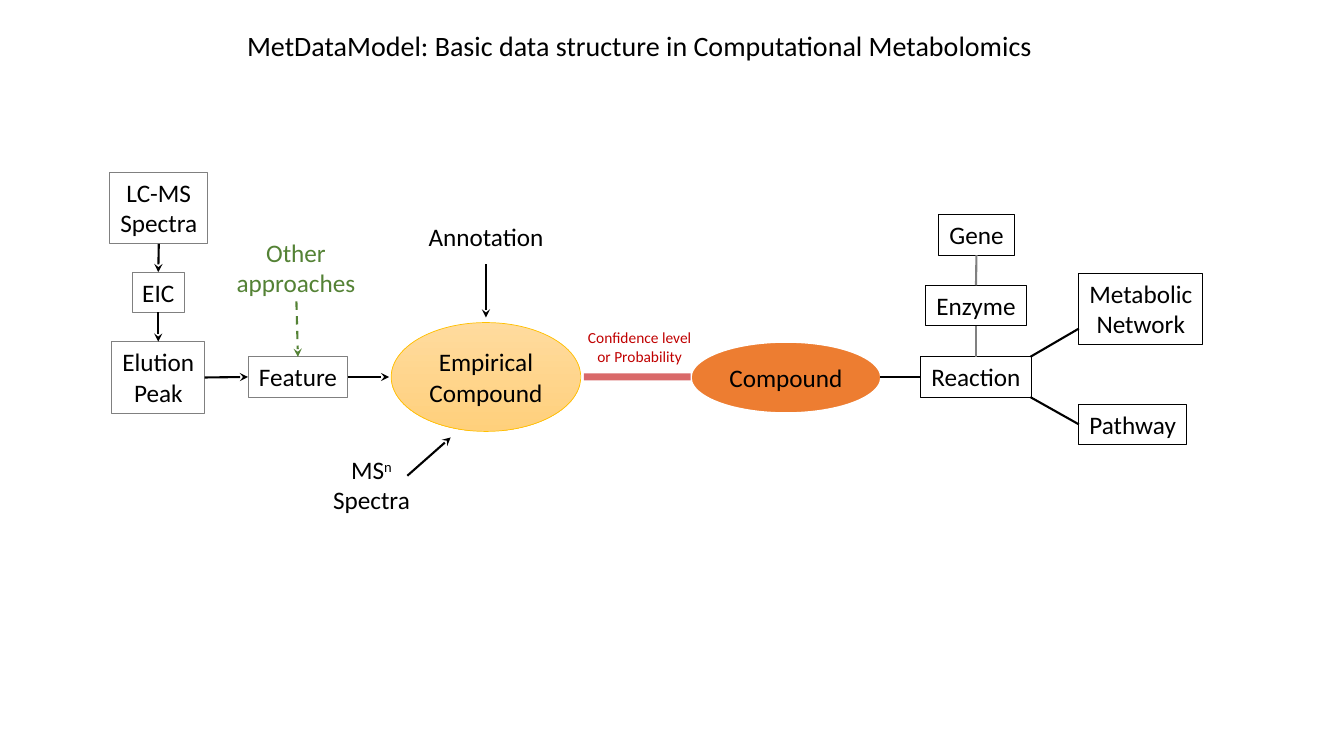
import pptx
import pptx.util
import pptx.dml.color
import pptx.enum.dml
import pptx.enum.shapes
import pptx.enum.text
import pptx.oxml.ns
from lxml import etree
from pptx.util import Inches, Pt

COLORS = {
    "black": "000000",
    "white": "FFFFFF",
    "grey": "808080",
    "green": "548235",
    "red": "C00000",
    "orange": "ED7D31",
    "gold": "FFC000",
    "gold_top": "FFDB9E",
    "gold_bottom": "FFD07C",
}
ALIGN = pptx.enum.text.PP_ALIGN
ANCHOR = pptx.enum.text.MSO_ANCHOR
SHAPE = pptx.enum.shapes.MSO_SHAPE
TOP, LEFT, BOTTOM, RIGHT = range(4)


def rgb(name):
    return pptx.dml.color.RGBColor.from_string(COLORS[name])


def add_run(p, text, size=18, color="black"):
    r = p.add_run()
    r.text = text
    r.font.size = Pt(size)
    r.font.name = "Calibri"
    r.font.color.rgb = rgb(color)
    return r


def fill_text(tf, text, size=18, color="black", align=ALIGN.CENTER):
    """Write text: a newline starts a paragraph, a vertical tab breaks a line."""
    for i, paragraph in enumerate(text.split("\n")):
        p = tf.add_paragraph() if i else tf.paragraphs[0]
        p.alignment = align
        for j, line in enumerate(paragraph.split("\v")):
            if j:
                p.add_line_break()
            add_run(p, line, size, color)


def fit_to_text(tf):
    tf.word_wrap = False
    tf.auto_size = pptx.enum.text.MSO_AUTO_SIZE.SHAPE_TO_FIT_TEXT
    tf.vertical_anchor = ANCHOR.TOP


def add_outlined(s, kind, text, at, line, width):
    sp = s.shapes.add_shape(kind, *map(Inches, at))
    sp.shadow.inherit = False
    sp.fill.background()
    sp.line.color.rgb = rgb(line)
    sp.line.width = Pt(width)
    fill_text(sp.text_frame, text)
    return sp


def add_box(s, text, at, line="black", width=0.5):
    sp = add_outlined(s, SHAPE.RECTANGLE, text, at, line, width)
    fit_to_text(sp.text_frame)
    return sp


def add_label(s, text, at, size=18, color="black"):
    tb = s.shapes.add_textbox(*map(Inches, at))
    fit_to_text(tb.text_frame)
    fill_text(tb.text_frame, text, size, color)
    return tb


def add_link(s, start, end, color="black", width=1.5, arrow=False):
    """Join two ends, each an (x, y) point or a (shape, side) pair."""
    points = [(0, 0) if hasattr(e[0], "shape_id") else e for e in (start, end)]
    c = s.shapes.add_connector(
        pptx.enum.shapes.MSO_CONNECTOR.STRAIGHT,
        *(Inches(v) for point in points for v in point))
    for e, connect in ((start, c.begin_connect), (end, c.end_connect)):
        if hasattr(e[0], "shape_id"):
            connect(*e)
    c.line.color.rgb = rgb(color)
    c.line.width = Pt(width)
    qn = pptx.oxml.ns.qn
    if arrow:
        etree.SubElement(c.line._get_or_add_ln(), qn("a:tailEnd"), type="stealth")
    etree.SubElement(c._element.spPr, qn("a:effectLst"))
    return c


def add_title(s, text):
    title = s.shapes.title
    title.left, title.top = Inches(2.35), Inches(0.23)
    title.width, title.height = Inches(8.07), Inches(0.44)
    fit_to_text(title.text_frame)
    fill_text(title.text_frame, text, 20, align=ALIGN.LEFT)


def add_measurement_side(s):
    spectra = add_box(s, "LC-MS\nSpectra", (1.09, 1.71, 0.97, 0.71), "grey", 0.75)
    eic = add_box(s, "EIC", (1.31, 2.7, 0.52, 0.4), "grey", 0.75)
    peak = add_box(s, "Elution\vPeak", (1.11, 3.39, 0.92, 0.71), "grey", 0.75)
    feature = add_box(s, "Feature", (2.46, 3.54, 0.99, 0.4), "grey", 0.75)
    add_link(s, (spectra, BOTTOM), (eic, TOP), arrow=True)
    add_link(s, (eic, BOTTOM), (peak, TOP), arrow=True)
    add_link(s, (peak, RIGHT), (feature, LEFT), arrow=True)
    add_link(s, (feature, RIGHT), (3.86, 3.74), arrow=True)

    add_label(s, "Other\napproaches", (2.24, 2.3, 1.39, 0.71), color="green")
    other = add_link(s, (2.94, 2.99), (feature, TOP), "green", arrow=True)
    other.line.dash_style = pptx.enum.dml.MSO_LINE.DASH


def add_compounds(s):
    empirical = add_outlined(s, SHAPE.OVAL, "Empirical\vCompound",
                             (3.88, 3.2, 1.88, 1.08), "gold", 0.5)
    empirical.fill.gradient()
    empirical.fill.gradient_angle = 270
    stops = empirical.fill.gradient_stops
    for stop, position, color in zip(stops, (0, 1), ("gold_top", "gold_bottom")):
        stop.position = position
        stop.color.rgb = rgb(color)

    compound = add_outlined(s, SHAPE.OVAL, "Compound",
                            (6.85, 3.39, 1.89, 0.71), "white", 1.5)
    compound.fill.solid()
    compound.fill.fore_color.rgb = rgb("orange")

    add_label(s, "Annotation", (4.14, 2.15, 1.36, 0.4))
    add_link(s, (4.82, 2.62), (4.82, 3.15), arrow=True)

    msn = add_label(s, "MS\nSpectra", (3.2, 4.46, 0.97, 0.71))
    power = add_run(msn.text_frame.paragraphs[0], "n")
    power._r.get_or_add_rPr().set("baseline", "30000")
    add_link(s, (4.04, 4.72), (4.47, 4.34), arrow=True)

    add_label(s, "Confidence level\nor Probability", (5.71, 3.21, 1.27, 0.47), 11, "red")
    confidence = add_link(s, (5.79, 3.74), (6.85, 3.74), "red", 5)
    qn = pptx.oxml.ns.qn
    color = confidence.line._get_or_add_ln().find(".//" + qn("a:srgbClr"))
    etree.SubElement(color, qn("a:alpha"), val="58000")


def add_biology_side(s):
    gene = add_box(s, "Gene", (9.31, 2.13, 0.75, 0.4))
    enzyme = add_box(s, "Enzyme", (9.18, 2.83, 1, 0.4))
    reaction = add_box(s, "Reaction", (9.13, 3.54, 1.1, 0.4))
    add_box(s, "Metabolic\vNetwork", (10.7, 2.71, 1.23, 0.71))
    pathway = add_box(s, "Pathway", (10.7, 4.01, 1.07, 0.4))
    add_link(s, (enzyme, TOP), (gene, BOTTOM), "grey")
    add_link(s, (reaction, TOP), (enzyme, BOTTOM), "grey")
    add_link(s, (8.73, 3.74), (reaction, LEFT))
    add_link(s, (10.22, 3.54), (10.7, 3.26))
    add_link(s, (10.22, 3.94), (pathway, LEFT))


def main():
    prs = pptx.Presentation()
    prs.slide_width, prs.slide_height = Inches(13.33), Inches(7.5)
    s = prs.slides.add_slide(prs.slide_layouts[5])
    add_title(s, "MetDataModel: Basic data structure in Computational Metabolomics")
    add_measurement_side(s)
    add_compounds(s)
    add_biology_side(s)
    prs.save("out.pptx")


if __name__ == "__main__":
    main()
